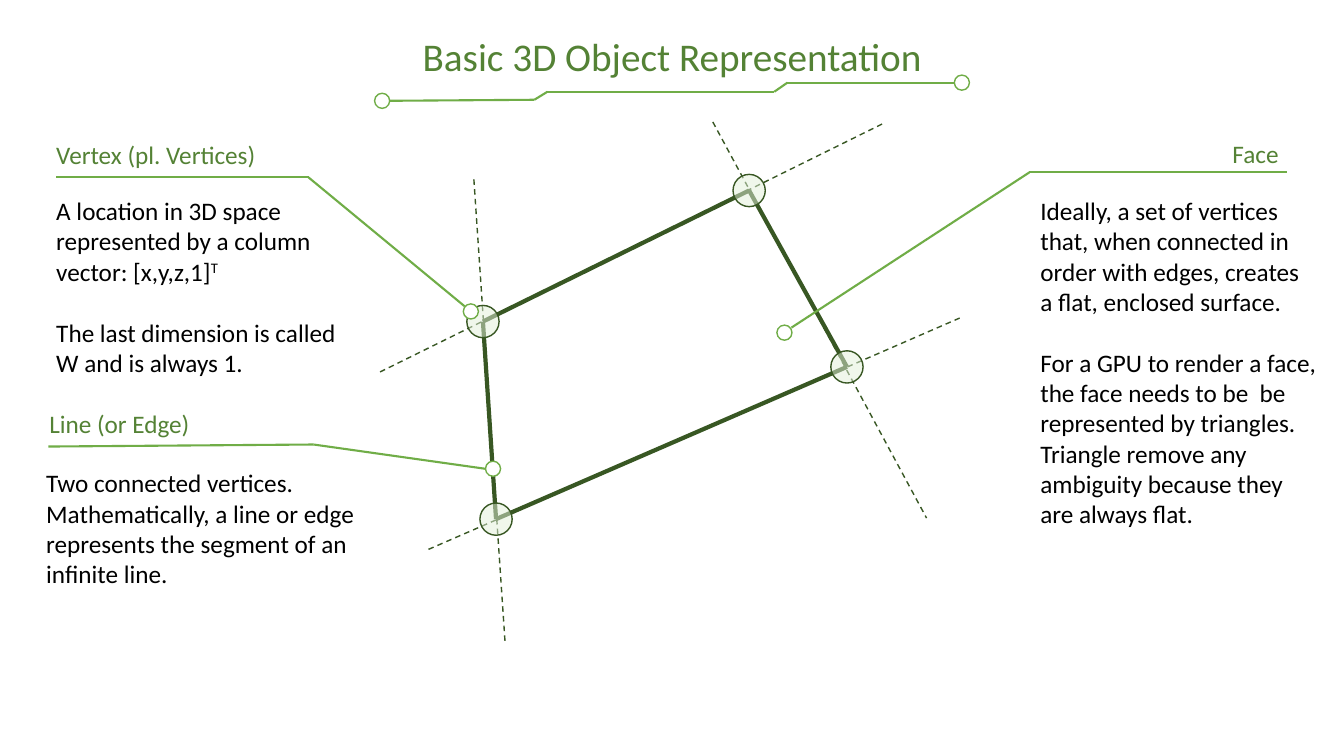
from dataclasses import dataclass
from itertools import pairwise

from pptx import Presentation
from pptx.dml.color import RGBColor
from pptx.enum.dml import MSO_LINE
from pptx.enum.shapes import MSO_CONNECTOR, MSO_SHAPE
from pptx.enum.text import MSO_ANCHOR, PP_ALIGN
from pptx.oxml.ns import qn
from pptx.util import Inches, Pt
from lxml.etree import SubElement


@dataclass(frozen=True)
class Theme:
    font: str = "Calibri"
    title_size: int = 28
    text_size: int = 18
    paragraph_gap: int = 22
    heading: str = "548235"
    body: str = "000000"
    accent: str = "70AD47"
    edge: str = "385723"
    vertex: str = "E2F0D9"
    paper: str = "FFFFFF"


THEME = Theme()
COLUMNS, ROWS = 133.3, 75  # grid cells are a tenth of an inch
VERTEX_SIZE, DOT_SIZE = 3.2, 1.5

VERTICES = {"left": (47.9, 31.9), "top": (74.3, 18.9),
            "right": (84, 36.4), "bottom": (49.2, 51.5)}
EXTENSIONS = [((37.7, 36.9), (87.5, 12.3)), ((47, 17.8), (50.1, 63.8)),
              ((42.5, 54.5), (95.3, 31.5)), ((70.7, 12.1), (91.9, 51.4))]
TITLE_RULE = [(38.5, 10), (53, 9.9), (54.3, 9.1), (76.8, 9.1), (78.1, 8.2), (94.6, 8.2)]
TITLE_DOTS = [(37.9, 10), (95.4, 8.2)]
CALLOUTS = [
    # leader line, dot centre
    ([(5.6, 17.6), (30.6, 17.6), (46.1, 30.4)], (46.7, 30.9)),
    ([(4.8, 44.3), (31.1, 44.1), (48.1, 46.5)], (48.9, 46.5)),
    ([(127.6, 17.1), (102.1, 17.1), (78.5, 32.5)], (77.8, 33)),
]
HEADINGS = [
    ("Vertex (pl. Vertices)", (4.6, 13.3, 22, 4), PP_ALIGN.LEFT),
    ("Line (or Edge)", (3.9, 40, 16.1, 4), PP_ALIGN.LEFT),
    ("Face", (112.4, 13.2, 15.4, 4), PP_ALIGN.RIGHT),
]
VERTEX_TEXT = ["A location in 3D space represented by a column vector: [x,y,z,1]",
               "The last dimension is called W and is always 1."]
EDGE_TEXT = ["Two connected vertices. Mathematically, a line or edge represents "
             "the segment of an infinite line."]
FACE_TEXT = ["Ideally, a set of vertices that, when connected in order with edges, "
             "creates a flat, enclosed surface.",
             "For a GPU to render a face, the face needs to be  be represented by "
             "triangles. Triangle remove any ambiguity because they are always flat."]


def cells(*counts):
    return [Inches(count / 10) for count in counts]


def rgb(color):
    return RGBColor.from_string(color)


def style_paragraph(para, size, color, align=PP_ALIGN.LEFT):
    para.alignment = align
    para.line_spacing = 1.0
    para.font.name = THEME.font
    para.font.size = Pt(size)
    para.font.color.rgb = rgb(color)


def add_title(page, text):
    title = page.shapes.title
    title.left, title.top, title.width, title.height = cells(0, 2.7, COLUMNS, 5.7)
    title.text_frame.text = text
    title.text_frame.vertical_anchor = MSO_ANCHOR.TOP
    style_paragraph(title.text_frame.paragraphs[0], THEME.title_size,
                    THEME.heading, PP_ALIGN.CENTER)


def add_text(page, paragraphs, area, color, align=PP_ALIGN.LEFT, wrap=True):
    frame = page.shapes.add_textbox(*cells(*area)).text_frame
    frame.word_wrap = wrap
    for index, text in enumerate(paragraphs):
        para = frame.add_paragraph() if index else frame.paragraphs[0]
        para.text = text
        style_paragraph(para, THEME.text_size, color, align)
        if index:
            para.space_before = Pt(THEME.paragraph_gap)
    return frame


def add_superscript(para, text):
    span = para.add_run()
    span.text = text
    span.font._element.set("baseline", "30000")


def add_polyline(page, points, color, width, dash=None):
    for start, end in pairwise(points):
        line = page.shapes.add_connector(MSO_CONNECTOR.STRAIGHT, *cells(*start, *end))
        line.line.color.rgb = rgb(color)
        line.line.width = Pt(width)
        if dash:
            line.line.dash_style = dash
        SubElement(line._element.spPr, qn("a:effectLst"))


def add_circle(page, center, size, fill, outline, alpha=None):
    x, y = center
    circle = page.shapes.add_shape(
        MSO_SHAPE.OVAL, *cells(x - size / 2, y - size / 2, size, size))
    circle.shadow.inherit = False
    circle.fill.solid()
    circle.fill.fore_color.rgb = rgb(fill)
    circle.line.color.rgb = rgb(outline)
    circle.line.width = Pt(1)
    if alpha:
        color = circle._element.spPr.find(qn("a:solidFill"))[0]
        SubElement(color, qn("a:alpha"), val=str(alpha * 1000))


def add_dot(page, center):
    add_circle(page, center, DOT_SIZE, THEME.paper, THEME.accent)


def add_quadrilateral(page):
    corners = list(VERTICES.values())
    add_polyline(page, corners + corners[:1], THEME.edge, 3)
    for extension in EXTENSIONS:
        add_polyline(page, extension, THEME.edge, 1, MSO_LINE.DASH)
    for corner in corners:
        add_circle(page, corner, VERTEX_SIZE, THEME.vertex, THEME.edge, alpha=50)


def main():
    deck = Presentation()
    deck.slide_width, deck.slide_height = cells(COLUMNS, ROWS)
    page = deck.slides.add_slide(deck.slide_layouts.get_by_name("Title Only"))

    add_title(page, "Basic 3D Object Representation")
    add_polyline(page, TITLE_RULE, THEME.accent, 1.5)
    for center in TITLE_DOTS:
        add_dot(page, center)

    for text, area, align in HEADINGS:
        add_text(page, [text], area, THEME.heading, align, wrap=align == PP_ALIGN.RIGHT)
    vertex_frame = add_text(page, VERTEX_TEXT, (4.6, 18.9, 31.4, 18.2), THEME.body)
    add_superscript(vertex_frame.paragraphs[0], "T")
    add_text(page, EDGE_TEXT, (3.6, 45.9, 38.5, 13.1), THEME.body)
    add_text(page, FACE_TEXT, (102.2, 18.9, 29.4, 34.3), THEME.body)

    add_quadrilateral(page)
    for leader, dot in CALLOUTS:
        add_polyline(page, leader, THEME.accent, 1.5)
        add_dot(page, dot)

    deck.save("out.pptx")


if __name__ == "__main__":
    main()
